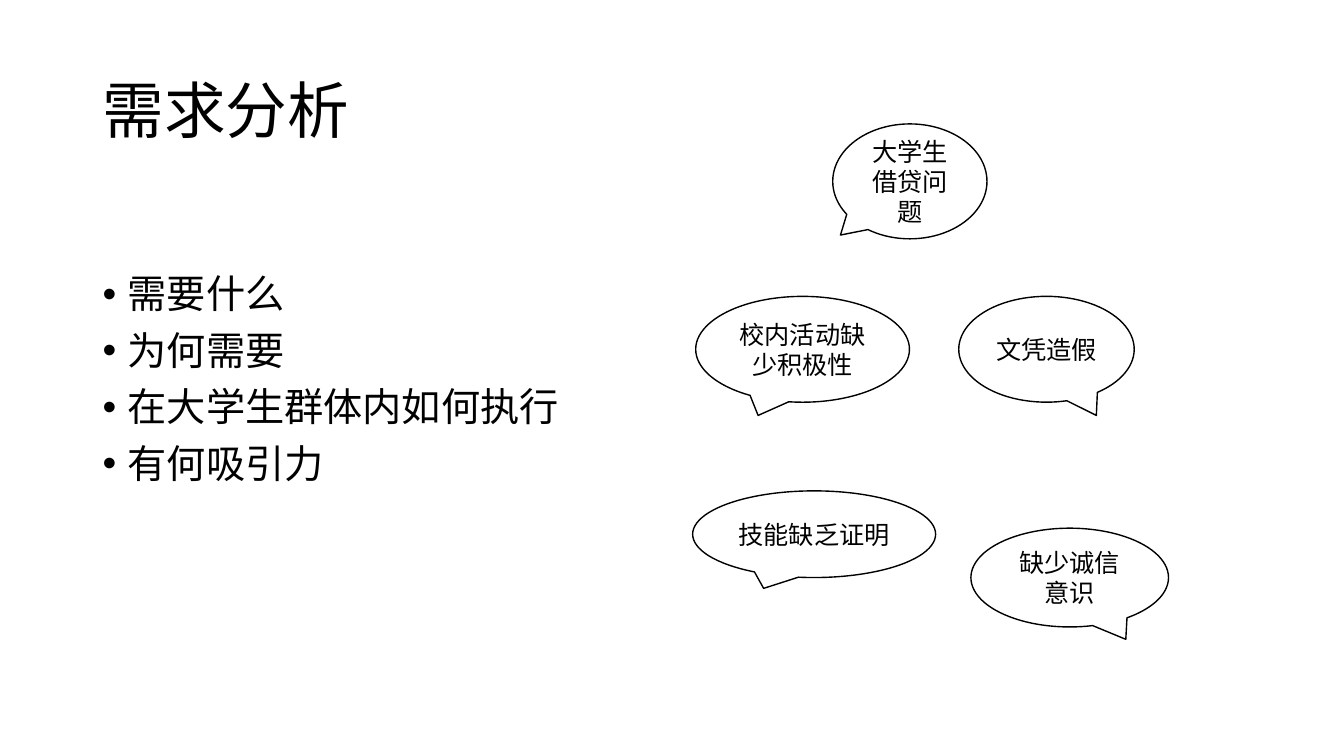
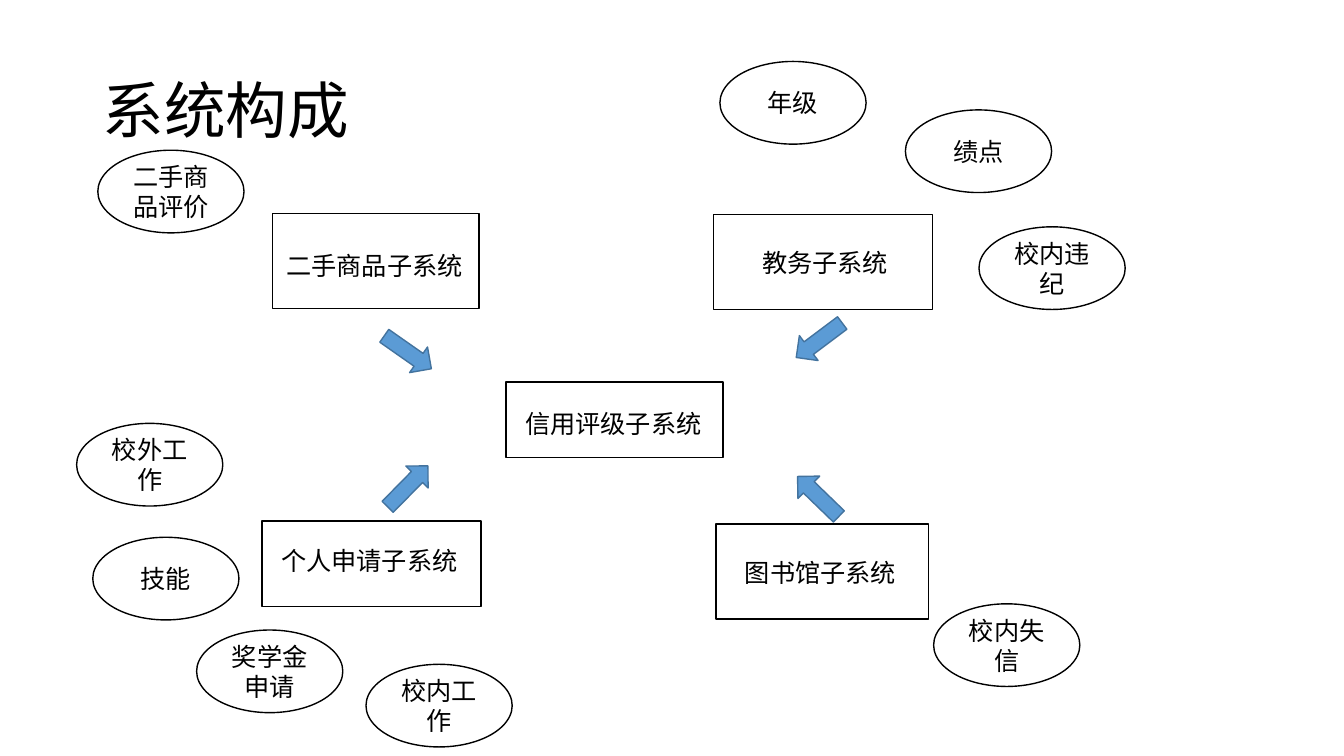
"""Build two slides: needs analysis and system structure."""
from lxml.etree import SubElement
from pptx import Presentation
from pptx.dml.color import RGBColor
from pptx.enum.shapes import MSO_SHAPE as SHAPE
from pptx.enum.text import MSO_ANCHOR as ANCHOR, PP_ALIGN as ALIGN
from pptx.oxml.ns import qn
from pptx.util import Emu, Pt

PX = 9144
FONT = "Noto Sans CJK SC"
BLACK = RGBColor(0x00, 0x00, 0x00)
WHITE = RGBColor(0xFF, 0xFF, 0xFF)
BLUE = RGBColor(0x5B, 0x9B, 0xD5)
DARK_BLUE = RGBColor(0x43, 0x73, 0x9E)

TITLE_BOX = (92, 40, 1150, 145)
BODY_BOX = (92, 268, 1150, 342)
BULLET_INDENT = 25
OVAL_SIZE = (145, 82)
LABEL_SIZE = (198, 40)
ARROW_SIZE = (57, 31)

QUESTIONS = ["需要什么", "为何需要", "在大学生群体内如何执行", "有何吸引力"]
TAIL_CORNER = (-0.45, 0.467)
TAIL_LEFT = (-0.208, 0.625)
TAIL_RIGHT = (0.284, 0.625)
CALLOUTS = [
    ("大学生借贷问题", (826, 123, 153, 114), TAIL_CORNER),
    ("文凭造假", (951, 294, 174, 105), TAIL_RIGHT),
    ("校内活动缺少积极性", (690, 294, 212, 105), TAIL_LEFT),
    ("技能缺乏证明", (687, 487, 241, 86), TAIL_LEFT),
    ("缺少诚信意识", (963, 524, 196, 98), TAIL_RIGHT),
]

FACTORS = [
    ("绩点", 898, 109),
    ("校内违纪", 971, 225),
    ("技能", 92, 533),
    ("校内工作", 363, 659),
    ("校外工作", 76, 420),
    ("校内失信", 926, 599),
    ("二手商品评价", 97, 149),
    ("年级", 714, 61),
    ("奖学金申请", 195, 625),
]
SUBSYSTEMS = [
    ("信用评级子系统", (511, 400), (502, 379, 215, 75)),
    ("二手商品子系统", (274, 243), (270, 212, 205, 94)),
    ("个人申请子系统", (269, 536), (260, 517, 217, 85)),
    ("教务子系统", (746, 240), (708, 213, 217, 94)),
    ("图书馆子系统", (729, 548), (710, 520, 211, 94)),
]
ARROWS = [(376, 334, 35), (376, 467, 314.5), (784, 322, 143.1), (783, 477, 224.1)]


def emu(box):
    return [Emu(v * PX) for v in box]


def style(tf, size):
    for p in tf.paragraphs:
        for r in p.runs:
            r.font.size = Pt(size)
            r.font.name = FONT
            r.font.color.rgb = BLACK
            SubElement(r.font._element, qn("a:ea"), typeface=FONT)


def add_text(s, text, box, size, wrap=True):
    tf = s.shapes.add_textbox(*emu(box)).text_frame
    tf.word_wrap = wrap
    tf.text = text
    style(tf, size)
    return tf


def add_shape(s, kind, box, fill=WHITE, line=BLACK, text=""):
    sp = s.shapes.add_shape(kind, *emu(box))
    sp.shadow.inherit = False
    if fill is None:
        sp.fill.background()
    else:
        sp.fill.solid()
        sp.fill.fore_color.rgb = fill
    sp.line.color.rgb = line
    sp.line.width = Pt(1)
    if text:
        tf = sp.text_frame
        tf.text = text
        tf.vertical_anchor = ANCHOR.MIDDLE
        tf.paragraphs[0].alignment = ALIGN.CENTER
        style(tf, 18)
    return sp


def add_slide(prs, title):
    s = prs.slides.add_slide(prs.slide_layouts[6])
    tf = add_text(s, title, TITLE_BOX, 44)
    tf.vertical_anchor = ANCHOR.MIDDLE
    tf.paragraphs[0].line_spacing = 0.9
    return s


def add_bullets(s, items):
    tf = add_text(s, "\n".join(items), BODY_BOX, 28)
    for p in tf.paragraphs:
        p.line_spacing = 0.9
        p.space_before = Pt(10)
        pPr = p._p.get_or_add_pPr()
        pPr.set("marL", str(BULLET_INDENT * PX))
        pPr.set("indent", str(-BULLET_INDENT * PX))
        SubElement(pPr, qn("a:buFont"), typeface="Arial")
        SubElement(pPr, qn("a:buChar"), char="•")


def build_needs(prs):
    s = add_slide(prs, "需求分析")
    add_bullets(s, QUESTIONS)
    for text, box, tail in CALLOUTS:
        sp = add_shape(s, SHAPE.OVAL_CALLOUT, box, text=text)
        sp.adjustments[0], sp.adjustments[1] = tail


def build_system(prs):
    s = add_slide(prs, "系统构成")
    for text, x, y in FACTORS:
        add_shape(s, SHAPE.OVAL, (x, y, *OVAL_SIZE), text=text)
    for text, corner, frame in SUBSYSTEMS:
        add_text(s, text, (*corner, *LABEL_SIZE), 18, wrap=False)
        add_shape(s, SHAPE.RECTANGLE, frame, fill=None)
    for x, y, angle in ARROWS:
        arrow = add_shape(s, SHAPE.RIGHT_ARROW, (x, y, *ARROW_SIZE), BLUE, DARK_BLUE)
        arrow.rotation = angle


def main():
    prs = Presentation()
    prs.slide_width, prs.slide_height = emu((1333, 750))
    build_needs(prs)
    build_system(prs)
    prs.save("out.pptx")


if __name__ == "__main__":
    main()
